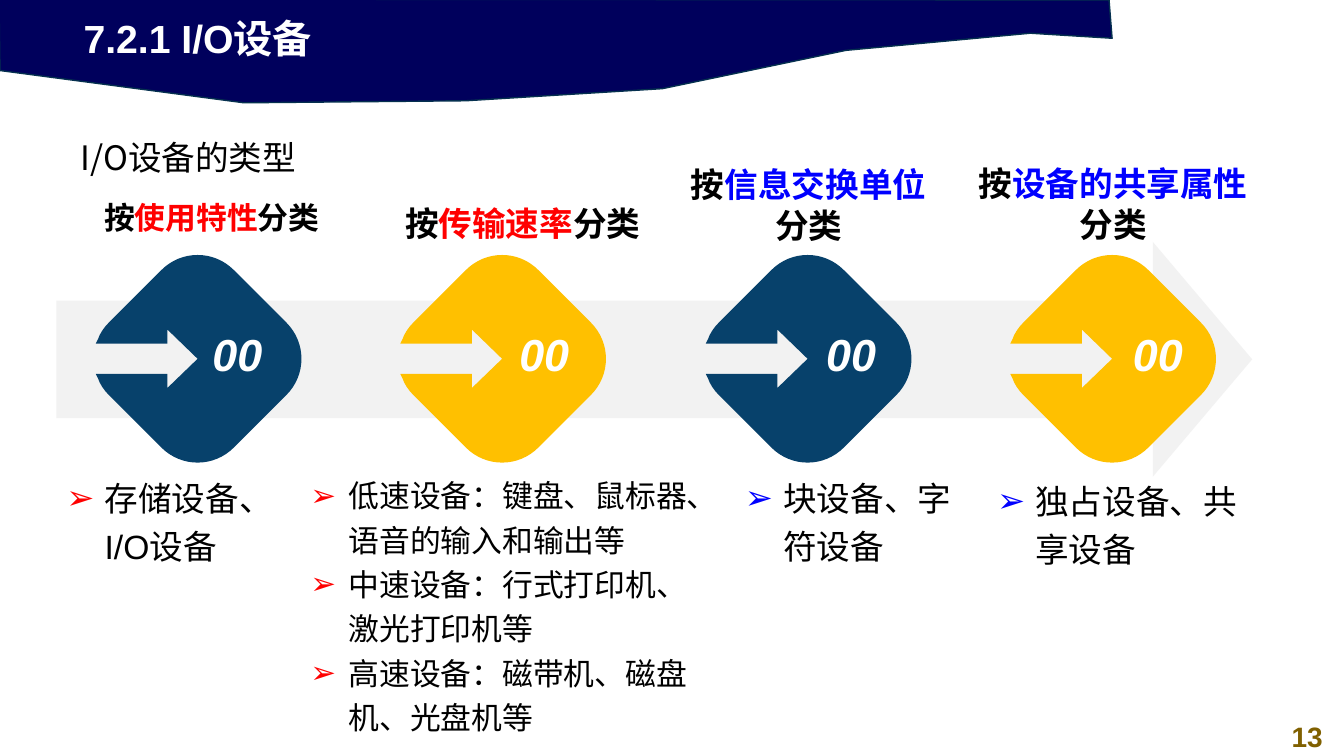
from dataclasses import dataclass
from math import sqrt

from lxml.etree import SubElement
from pptx import Presentation
from pptx.dml.color import RGBColor
from pptx.enum.shapes import MSO_SHAPE
from pptx.enum.text import MSO_ANCHOR, PP_ALIGN
from pptx.oxml.ns import qn
from pptx.util import Inches, Pt


@dataclass(frozen=True)
class Theme:
    latin: str = "Arial"
    cjk: str = "Noto Sans CJK SC"
    navy: str = "00005C"
    navy_line: str = "05304F"
    blue: str = "07416B"
    gold: str = "FFC000"
    grey: str = "F2F2F2"
    page_number: str = "806000"
    black: str = "000000"
    white: str = "FFFFFF"
    red: str = "FF0000"
    bright_blue: str = "0000FF"
    title_size: int = 28
    number_size: int = 32
    body_size: int = 24
    small_size: int = 22
    page_size: int = 20


THEME = Theme()

# Content
TITLE = "7.2.1 I/O设备"
SUBTITLE = "I/O设备的类型"
PAGE_NUMBER = "13"
CATEGORIES = [
    {"heading": ("按", "使用特性", "分类"), "accent": THEME.red, "fill": THEME.blue,
     "heading_at": (0.63, 1.92, 2.94, 0.43), "heading_size": THEME.small_size,
     "align": PP_ALIGN.CENTER, "spacing": 1.0,
     "items": ["存储设备、I/O设备"],
     "items_at": (0.56, 4.61, 2.49, 1.6), "items_size": THEME.body_size},
    {"heading": ("按", "传输速率", "分类"), "accent": THEME.red, "fill": THEME.gold,
     "heading_at": (3.92, 1.92, 2.59, 0.43), "heading_size": THEME.body_size,
     "align": PP_ALIGN.LEFT, "spacing": 1.1,
     "items": ["低速设备：键盘、鼠标器、语音的输入和输出等",
               "中速设备：行式打印机、激光打印机等",
               "高速设备：磁带机、磁盘机、光盘机等"],
     "items_at": (2.98, 4.61, 4.06, 2.48), "items_size": THEME.small_size},
    {"heading": ("按", "信息交换单位", "分类"), "accent": THEME.bright_blue, "fill": THEME.blue,
     "heading_at": (6.69, 1.58, 2.66, 0.43), "heading_size": THEME.body_size,
     "align": PP_ALIGN.CENTER, "spacing": 1.0,
     "items": ["块设备、字符设备"],
     "items_at": (7.29, 4.61, 2.33, 1.6), "items_size": THEME.body_size},
    {"heading": ("按", "设备的共享属性", "分类"), "accent": THEME.bright_blue, "fill": THEME.gold,
     "heading_at": (9.58, 1.57, 2.92, 0.43), "heading_size": THEME.body_size,
     "align": PP_ALIGN.CENTER, "spacing": 1.0,
     "items": ["独占设备、共享设备"],
     "items_at": (9.79, 4.64, 2.81, 1.6), "items_size": THEME.body_size},
]
NUMBER = "00"

# Geometry in inches; the diamond is measured from its center
BANNER = [(-0.01, -0.01), (0, 0.7), (2.42, 1.02), (4.62, 1), (6.57, 0.88),
          (8.39, 0.5), (10.22, 0.33), (11.03, 0.38), (11, 0)]
DIAMOND = [(0, -1.03), (0.13, -1.03), (0.26, -0.98), (0.36, -0.88),
           (0.88, -0.36), (1.08, -0.16), (1.08, 0.16), (0.88, 0.36),
           (0.36, 0.88), (0.16, 1.08), (-0.16, 1.08), (-0.36, 0.88),
           (-0.88, 0.36), (-0.93, 0.31), (-0.97, 0.25), (-0.99, 0.19),
           (-1.01, 0.15), (-0.3, 0.15), (-0.3, 0.29), (0, 0),
           (-0.3, -0.29), (-0.3, -0.15), (-1.01, -0.15),
           (-0.99, -0.19), (-0.97, -0.25), (-0.93, -0.31), (-0.88, -0.36),
           (-0.36, -0.88), (-0.26, -0.98), (-0.13, -1.03), (0, -1.03)]
DIAMOND_CURVES = [1, 5, 9, 13, 24, 28]  # first control point of each curve
CENTERS, CENTER_Y = [1.96, 4.98, 8.01, 11.03], 3.56
NUMBER_LEFT, NUMBER_STEP = 1.97, 3.043


def color(code):
    return RGBColor.from_string(code)


def paint(shape, fill, line=None):
    shape.shadow.inherit = False
    shape.fill.solid()
    shape.fill.fore_color.rgb = color(fill)
    if line:
        shape.line.color.rgb = color(line)
        shape.line.width = Pt(1)
    else:
        shape.line.fill.background()


def add_outline(page, points, fill, line=None):
    corners = [(Inches(x), Inches(y)) for x, y in points]
    builder = page.shapes.build_freeform(*corners[0], scale=1.0)
    builder.add_line_segments(corners[1:], close=points[0] != points[-1])
    shape = builder.convert_to_shape()
    paint(shape, fill, line)
    return shape


def add_diamond(page, center, fill):
    """Draw the outline turned back by 45 degrees, then rotate the shape."""
    turned = [(center + (x + y) / sqrt(2), CENTER_Y + (y - x) / sqrt(2)) for x, y in DIAMOND]
    shape = add_outline(page, turned, fill)
    outline = next(shape._element.iter(qn("a:path")))
    segments = list(outline)
    # Join three straight segments into one cubic curve
    for first in DIAMOND_CURVES:
        segment = segments[first]
        segment.tag = qn("a:cubicBezTo")
        for extra in segments[first + 1:first + 3]:
            segment.append(extra[0])
            outline.remove(extra)
    SubElement(outline, qn("a:close"))
    shape.rotation = 45


def add_bullet(para, tint):
    properties = para._p.get_or_add_pPr()
    properties.set("marL", str(Inches(0.38)))
    properties.set("indent", str(-Inches(0.38)))
    bullet_color = SubElement(properties, qn("a:buClr"))
    SubElement(bullet_color, qn("a:srgbClr"), val=tint)
    SubElement(properties, qn("a:buFont"), typeface=THEME.latin)
    SubElement(properties, qn("a:buChar"), char="➢")


def add_text(page, place, paragraphs, size, tint=THEME.black, bold=False, italic=False,
             align=PP_ALIGN.LEFT, spacing=1.0, anchor=MSO_ANCHOR.TOP, bullet=None,
             font=THEME.latin):
    """Each paragraph is a list of (text, colour or None) spans."""
    box = page.shapes.add_textbox(*map(Inches, place))
    frame = box.text_frame
    frame.word_wrap = True
    frame.vertical_anchor = anchor
    for index, spans in enumerate(paragraphs):
        para = frame.add_paragraph() if index else frame.paragraphs[0]
        para.alignment = align
        para.line_spacing = spacing
        if bullet:
            add_bullet(para, bullet)
        para.font.name = font
        para.font.size = Pt(size)
        para.font.bold = bold
        para.font.italic = italic
        para.font.color.rgb = color(tint)
        for text, span_tint in spans:
            span = para.add_run()
            span.text = text
            if span_tint:
                span.font.color.rgb = color(span_tint)
    return box


def main():
    deck = Presentation()
    deck.slide_width, deck.slide_height = Inches(13.33), Inches(7.5)
    page = deck.slides.add_slide(deck.slide_layouts[6])

    # Banner, title and page number
    add_outline(page, BANNER, THEME.navy, THEME.navy_line)
    add_text(page, (12.6, 7.09, 0.73, 0.44), [[(PAGE_NUMBER, None)]], THEME.page_size,
             THEME.page_number, bold=True, align=PP_ALIGN.CENTER)
    add_text(page, (0.73, 0.09, 7.68, 0.57), [[(TITLE, None)]], THEME.title_size,
             THEME.white, bold=True)

    # Wide arrow behind the diamonds
    arrow = page.shapes.add_shape(MSO_SHAPE.RIGHT_ARROW,
                                  *map(Inches, (0.56, 2.4, 11.86, 2.33)))
    arrow.adjustments[0], arrow.adjustments[1] = 0.5, 0.423
    paint(arrow, THEME.grey)

    # One column per category
    for index, (category, center) in enumerate(zip(CATEGORIES, CENTERS)):
        add_diamond(page, center, category["fill"])
        add_text(page, (NUMBER_LEFT + index * NUMBER_STEP, 3.14, 0.77, 0.74),
                 [[(NUMBER, None)]], THEME.number_size, THEME.white, bold=True, italic=True,
                 align=PP_ALIGN.CENTER, anchor=MSO_ANCHOR.MIDDLE)
        before, key, after = category["heading"]
        add_text(page, category["heading_at"],
                 [[(before, None), (key, category["accent"]), (after, None)]],
                 category["heading_size"], bold=True, align=category["align"],
                 spacing=category["spacing"])
        add_text(page, category["items_at"], [[(item, None)] for item in category["items"]],
                 category["items_size"], spacing=1.2, bullet=category["accent"])

    # Subtitle
    subtitle = add_text(page, (0.2, 1.18, 11.87, 0.77), [[(SUBTITLE, None)]],
                        THEME.body_size, spacing=1.32, font=THEME.cjk)
    subtitle.text_frame.paragraphs[0]._p.get_or_add_pPr().set("indent", str(Inches(0.5)))

    deck.save("out.pptx")


if __name__ == "__main__":
    main()
